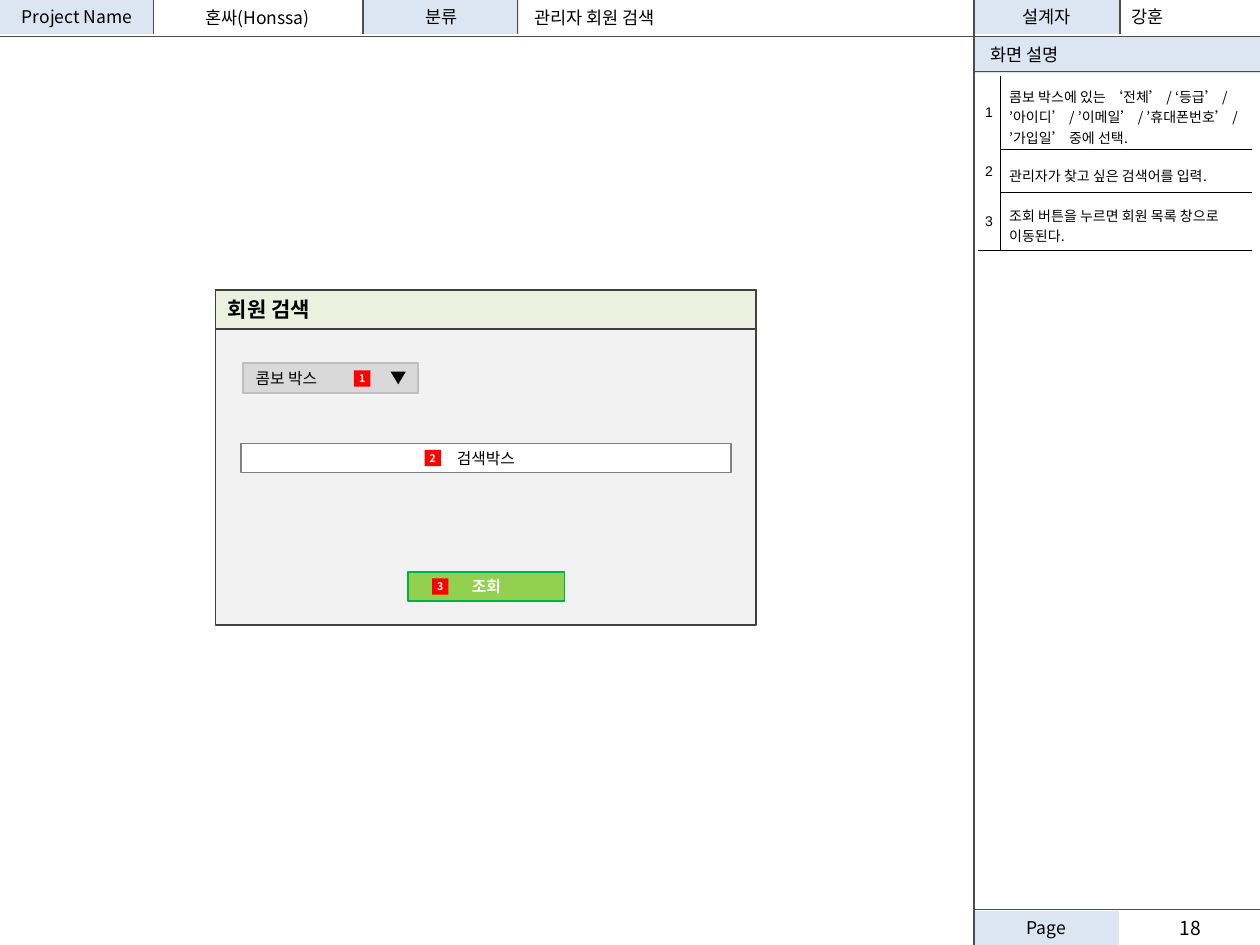
from typing import NamedTuple, Optional

from lxml.etree import SubElement
from pptx import Presentation
from pptx.dml.color import RGBColor
from pptx.enum.shapes import MSO_CONNECTOR, MSO_SHAPE
from pptx.enum.text import MSO_ANCHOR, MSO_AUTO_SIZE, PP_ALIGN
from pptx.oxml.ns import qn
from pptx.util import Inches, Pt

W, H = 10, 7.5
SIDE = 7.73  # left edge of the description column
BAR = 0.27  # height of the header and footer bars
HEAD_Y, DESC_Y, FOOT_Y = 0.29, 0.57, 7.22
KR = "Noto Sans CJK KR"
BLACK, WHITE, PALE, RULE = "000000", "FFFFFF", "DCE6F2", "4D4D4D"
LEFT, CENTER = PP_ALIGN.LEFT, PP_ALIGN.CENTER


class Box(NamedTuple):
    x: float
    y: float
    w: float
    h: float
    text: str = ""
    fill: Optional[str] = None
    line: Optional[str] = None
    size: float = 10
    color: str = BLACK
    bold: bool = False
    align: PP_ALIGN = CENTER
    inset: float = 0.1


class Rule(NamedTuple):
    x1: float
    y1: float
    x2: float
    y2: float


def rgb(value: str) -> RGBColor:
    return RGBColor.from_string(value)


def write(tf, text: str, size: float, color: str = BLACK, bold: bool = False,
          align: PP_ALIGN = LEFT, font: str = KR) -> None:
    tf.text = text
    p = tf.paragraphs[0]
    p.alignment = align
    for r in p.runs:
        r.font.size, r.font.bold, r.font.name = Pt(size), bold, font
        r.font.color.rgb = rgb(color)
        SubElement(r.font._element, qn("a:ea")).set("typeface", font)


def fill_text(sp, b: Box) -> None:
    tf = sp.text_frame
    tf.word_wrap, tf.auto_size = True, MSO_AUTO_SIZE.NONE
    tf.vertical_anchor = MSO_ANCHOR.MIDDLE
    tf.margin_left = tf.margin_right = Inches(b.inset)
    tf.margin_top = tf.margin_bottom = 0
    write(tf, b.text, b.size, b.color, b.bold, b.align)


def draw_box(s, b: Box, preset: MSO_SHAPE = MSO_SHAPE.RECTANGLE):
    place = [Inches(v) for v in b[:4]]
    if b.fill is None:
        sp = s.shapes.add_textbox(*place)
    else:
        sp = s.shapes.add_shape(preset, *place)
        sp.shadow.inherit = False
        sp.fill.solid()
        sp.fill.fore_color.rgb = rgb(b.fill)
        if b.line:
            sp.line.color.rgb = rgb(b.line)
            sp.line.width = Pt(1)
        else:
            sp.line.fill.background()
    if b.text:
        fill_text(sp, b)
    return sp


def draw_rule(s, rule: Rule) -> None:
    sp = s.shapes.add_connector(MSO_CONNECTOR.STRAIGHT, *[Inches(v) for v in rule])
    sp.line.color.rgb = rgb(RULE)
    sp.line.width = Pt(0.75)
    SubElement(sp._element.spPr, qn("a:effectLst"))


def set_borders(cell, shown: str) -> None:
    tc_pr = cell._tc.get_or_add_tcPr()
    for side in "LRTB":
        ln = SubElement(tc_pr, qn(f"a:ln{side}"), w=str(Pt(0.75)))
        if side in shown:
            fill = SubElement(ln, qn("a:solidFill"))
            SubElement(fill, qn("a:srgbClr"), val=BLACK)
        else:
            SubElement(ln, qn("a:noFill"))
    cell.fill.background()


def draw_notes(s, notes: list[str], widths: list[float], heights: list[float]) -> None:
    place = [Inches(v) for v in (7.76, 0.6, sum(widths), sum(heights))]
    table = s.shapes.add_table(len(notes), 2, *place).table
    table.first_row = table.horz_banding = False
    for col, width in zip(table.columns, widths):
        col.width = Inches(width)
    for i, (note, height) in enumerate(zip(notes, heights)):
        table.rows[i].height = Inches(height)
        number, text = table.cell(i, 0), table.cell(i, 1)
        for cell, side, bottom in ((number, 0.04, 0.08), (text, 0.07, 0.02)):
            cell.vertical_anchor = MSO_ANCHOR.MIDDLE
            cell.margin_left = cell.margin_right = Inches(side)
            cell.margin_top, cell.margin_bottom = Inches(0.08), Inches(bottom)
        write(number.text_frame, str(i + 1), 8, align=CENTER, font="Arial")
        write(text.text_frame, note, 8)
        set_borders(number, "RB")
        set_borders(text, "LB" if i == 0 else "LTB")


FRAME = [
    Box(SIDE, 7.23, 1.15, BAR, "Page", PALE),
    Box(SIDE, 0, 1.15, BAR, "설계자", PALE),
    Box(SIDE, HEAD_Y, W - SIDE, 0.29, "화면 설명", PALE, align=LEFT, inset=0.13),
    Box(2.89, 0, 1.23, BAR, "분류", PALE),
    Box(1.22, 0.01, 1.65, 0.25, "혼싸(Honssa)"),
    Box(0, 0, 1.22, BAR, "Project Name", PALE),
    Box(8.89, FOOT_Y, 1.11, 0.29, "18", size=11),
    Box(8.88, 0, 1.02, BAR, "강훈", align=LEFT),
]
RULES = [
    *[Rule(x, 0, x, BAR) for x in (1.22, 2.88, 4.11, 8.89)],
    Rule(0, HEAD_Y, W, HEAD_Y),
    *[Rule(SIDE, y, W, y) for y in (DESC_Y, FOOT_Y)],
    Rule(SIDE, 0, SIDE, H),
]
NOTES = [
    "콤보 박스에 있는 ‘전체’ / ‘등급’ / ’아이디’ / ’이메일’ / ’휴대폰번호’ / ’가입일’ 중에 선택.",
    "관리자가 찾고 싶은 검색어를 입력.",
    "조회 버튼을 누르면 회원 목록 창으로 이동된다.",
]
DIALOG = [
    Box(1.71, 2.3, 4.29, 2.66, fill="F2F2F2", line="404040"),
    Box(1.71, 2.3, 4.29, 0.31, "회원 검색", "EBF1DE", "404040", 12, bold=True, align=LEFT),
    Box(1.91, 3.52, 3.89, 0.23, "검색박스", WHITE, "808080", 9),
    Box(3.24, 4.54, 1.24, 0.23, "조회", "92D050", "00B050", 9, WHITE, True),
    Box(1.93, 2.88, 1.39, 0.24, "콤보 박스", "D9D9D9", "BFBFBF", 9, align=LEFT),
]
MARKERS = [(2.81, 2.94), (3.37, 3.57), (3.43, 4.59)]


def main() -> None:
    prs = Presentation()
    prs.slide_width, prs.slide_height = Inches(W), Inches(H)
    s = prs.slides.add_slide(prs.slide_layouts[5])

    # Title in the header bar
    heading = Box(4.14, 0, 2.99, BAR, "관리자 회원 검색", align=LEFT)
    title = s.shapes.title
    title.left, title.top, title.width, title.height = [Inches(v) for v in heading[:4]]
    fill_text(title, heading)

    # Page frame
    for box in FRAME:
        draw_box(s, box)
    for rule in RULES:
        draw_rule(s, rule)

    # Numbered descriptions
    draw_notes(s, NOTES, [0.18, 2], [0.59, 0.34, 0.46])

    # Search dialog with its drop-down arrow
    for box in DIALOG:
        draw_box(s, box)
    arrow = draw_box(s, Box(3.1, 2.95, 0.12, 0.1, fill=BLACK), MSO_SHAPE.ISOSCELES_TRIANGLE)
    arrow.rotation = 180

    # Red markers that refer to the descriptions
    for number, (x, y) in enumerate(MARKERS, 1):
        draw_box(s, Box(x, y, 0.13, 0.13, str(number), "FF0000",
                        size=6, color=WHITE, bold=True, inset=0))

    prs.save("out.pptx")


if __name__ == "__main__":
    main()
